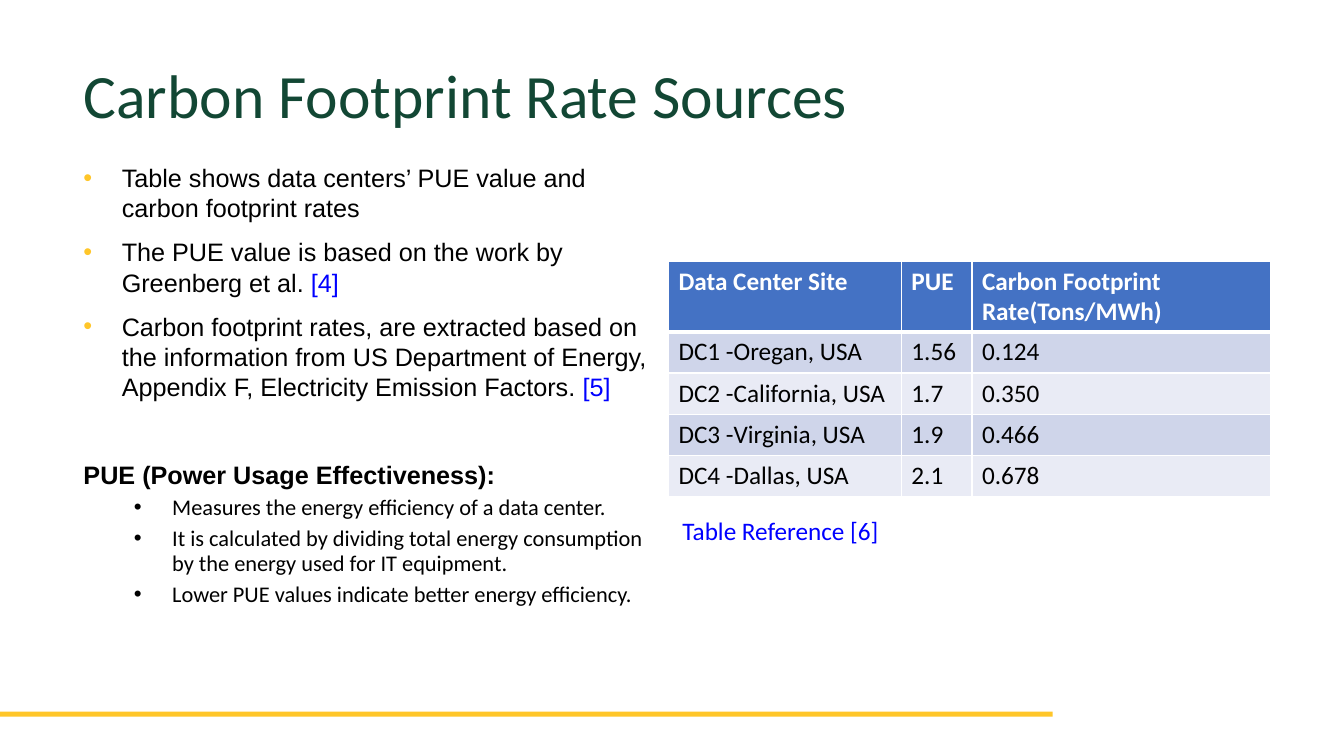
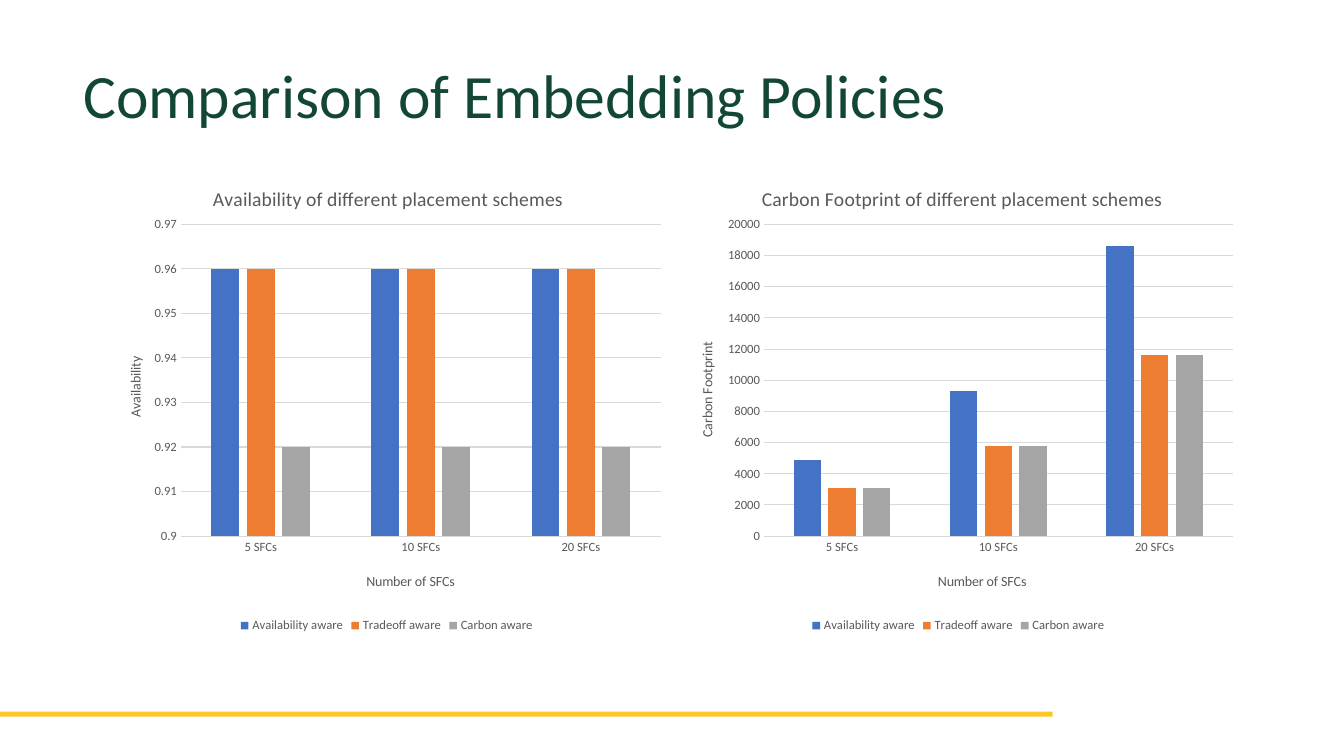
"""Build two slides on carbon footprint sources and embedding policies."""
from dataclasses import dataclass
from typing import NamedTuple, Optional

from lxml.etree import SubElement
from pptx import Presentation
from pptx.chart.data import CategoryChartData
from pptx.dml.color import RGBColor
from pptx.enum.chart import XL_CHART_TYPE as ChartType, XL_LEGEND_POSITION as LegendPosition
from pptx.enum.chart import XL_TICK_MARK as TickMark
from pptx.enum.shapes import MSO_SHAPE as Shape
from pptx.oxml.ns import qn
from pptx.util import Inches, Pt


@dataclass(frozen=True)
class Theme:
    title: str = "124734"
    accent: str = "FFC629"
    text: str = "000000"
    reference: str = "0000FF"
    white: str = "FFFFFF"
    header: str = "4472C4"
    bands: tuple = ("CFD5EA", "E9EBF5")
    series: tuple = ("4472C4", "ED7D31", "A5A5A5")
    chart_text: str = "595959"
    grid: str = "D9D9D9"
    sans: str = "Arial"
    humanist: str = "Calibri"
    title_size: int = 44
    body_size: int = 18
    detail_size: int = 16
    chart_title_size: int = 14
    axis_title_size: int = 10
    label_size: int = 9


THEME = Theme()


class Box(NamedTuple):
    left: float
    top: float
    width: float
    height: float

    def lengths(self) -> tuple:
        return tuple(Inches(value) for value in self)


class Span(NamedTuple):
    text: str
    color: str = THEME.text
    size: int = THEME.body_size
    font: str = THEME.sans
    bold: bool = False


class Para(NamedTuple):
    spans: tuple
    before: float = 0
    spacing: Optional[float] = None
    level: int = 0
    indent: float = 0
    bullet_color: Optional[str] = None


class Axis(NamedTuple):
    title: str
    low: float
    high: float
    step: float


class ChartSpec(NamedTuple):
    title: str
    box: Box
    axis: Axis
    values: tuple
    plot: Box
    title_at: tuple
    axis_title_at: tuple


TITLE_BOX = Box(0.73, 0.6, 11.87, 0.82)
FOOTER_BOX = Box(0, 7.06, 10.44, 0.05)
BODY_BOX = Box(0.73, 1.56, 5.94, 5.04)
HANGING = 0.38

BULLETS = (
    (Span("Table shows data centers’ PUE value and carbon footprint rates"),),
    (Span("The PUE value is based on the work by Greenberg et al. "),
     Span("[4]", THEME.reference)),
    (Span("Carbon footprint rates, are extracted based on the information from "
          "US Department of Energy, Appendix F, Electricity Emission Factors. "),
     Span("[5]", THEME.reference)),
)
DETAILS = (
    "Measures the energy efficiency of a data center.",
    "It is calculated by dividing total energy consumption by the energy used for IT equipment.",
    "Lower PUE values indicate better energy efficiency.",
)
TABLE_BOX = Box(6.63, 2.59, 5.97, 2.33)
COLUMN_WIDTHS = (2.31, 0.7, 2.96)
ROW_HEIGHTS = (0.69,) + (0.41,) * 4
TABLE_ROWS = (
    ("Data Center Site", "PUE", "Carbon Footprint Rate(Tons/MWh)"),
    ("DC1 -Oregan, USA", "1.56", "0.124"),
    ("DC2 -California, USA", "1.7", "0.350"),
    ("DC3 -Virginia, USA", "1.9", "0.466"),
    ("DC4 -Dallas, USA", "2.1", "0.678"),
)
CATEGORIES = ("5 SFCs", "10 SFCs", "20 SFCs")
POLICIES = ("Availability aware", "Tradeoff aware", "Carbon aware")
CHARTS = (
    ChartSpec("Availability of different placement schemes", Box(1, 1.56, 5.67, 4.76),
              Axis("Availability", 0.9, 0.97, 0.01),
              ((0.96,) * 3, (0.96,) * 3, (0.92,) * 3),
              Box(0.14, 0.14, 0.84, 0.65), (0.19, 0.05), (0.04, 0.41)),
    ChartSpec("Carbon Footprint of different placement schemes", Box(6.67, 1.56, 5.67, 4.76),
              Axis("Carbon Footprint", 0, 20000, 2000),
              ((4900, 9300, 18600), (3100, 5800, 11600), (3100, 5800, 11600)),
              Box(0.16, 0.14, 0.82, 0.65), (0.15, 0.05), (0.04, 0.38)),
)


def rgb(color: str) -> RGBColor:
    return RGBColor.from_string(color)


def style_font(font, color: str, size: int, name: str, bold: bool = False) -> None:
    font.name, font.size, font.bold = name, Pt(size), bold
    font.color.rgb = rgb(color)


def add_spans(paragraph, spans: tuple) -> None:
    for span in spans:
        run = paragraph.add_run()
        run.text = span.text
        style_font(run.font, span.color, span.size, span.font, span.bold)


def add_bullet(paragraph, indent: float, color: str) -> None:
    properties = paragraph._p.get_or_add_pPr()
    properties.set("marL", str(Inches(indent)))
    properties.set("indent", str(-Inches(HANGING)))
    SubElement(SubElement(properties, qn("a:buClr")), qn("a:srgbClr"), val=color)
    SubElement(properties, qn("a:buFont"), typeface=THEME.sans)
    SubElement(properties, qn("a:buChar"), char="•")


def add_text(page, box: Box, paras: list, wrap: bool = True) -> None:
    frame = page.shapes.add_textbox(*box.lengths()).text_frame
    frame.word_wrap = wrap
    for index, para in enumerate(paras):
        paragraph = frame.add_paragraph() if index else frame.paragraphs[0]
        paragraph.level = para.level
        if para.bullet_color:
            add_bullet(paragraph, para.indent, para.bullet_color)
        if index:
            paragraph.space_before = Pt(para.before)
        if para.spacing:
            paragraph.line_spacing = para.spacing
        add_spans(paragraph, para.spans)


def add_page(deck, title: str):
    page = deck.slides.add_slide(deck.slide_layouts[6])
    band = page.shapes.add_shape(Shape.RECTANGLE, *FOOTER_BOX.lengths())
    band.shadow.inherit = False
    band.fill.solid()
    band.fill.fore_color.rgb = rgb(THEME.accent)
    band.line.fill.background()
    span = Span(title, THEME.title, THEME.title_size, THEME.humanist)
    add_text(page, TITLE_BOX, [Para((span,), spacing=0.9)])
    return page


def add_borders(cell, top: float, bottom: float) -> None:
    properties = cell._tc.get_or_add_tcPr()
    for side, width in (("L", 1), ("R", 1), ("T", top), ("B", bottom)):
        line = SubElement(properties, qn(f"a:ln{side}"), w=str(Pt(width)))
        SubElement(SubElement(line, qn("a:solidFill")), qn("a:srgbClr"), val=THEME.white)


def add_site_table(page) -> None:
    table = page.shapes.add_table(
        len(TABLE_ROWS), len(COLUMN_WIDTHS), *TABLE_BOX.lengths()).table
    for column, width in zip(table.columns, COLUMN_WIDTHS):
        column.width = Inches(width)
    for row, height in zip(table.rows, ROW_HEIGHTS):
        row.height = Inches(height)
    for row_index, texts in enumerate(TABLE_ROWS):
        header = row_index == 0
        color = THEME.white if header else THEME.text
        fill = THEME.header if header else THEME.bands[(row_index - 1) % 2]
        for column_index, text in enumerate(texts):
            cell = table.cell(row_index, column_index)
            add_borders(cell, 3 if row_index == 1 else 1, 3 if header else 1)
            cell.fill.solid()
            cell.fill.fore_color.rgb = rgb(fill)
            span = Span(text, color, font=THEME.humanist, bold=header)
            add_spans(cell.text_frame.paragraphs[0], (span,))


def place(element, values: tuple, inner: bool = False) -> None:
    layout = element.find(qn("c:layout"))
    if layout is None:
        layout = SubElement(element, qn("c:layout"))
        element.insert(0, layout)
    manual = SubElement(layout, qn("c:manualLayout"))
    if inner:
        SubElement(manual, qn("c:layoutTarget"), val="inner")
    for key in ("xMode", "yMode"):
        SubElement(manual, qn(f"c:{key}"), val="edge")
    for key, value in zip("xywh", values):
        SubElement(manual, qn(f"c:{key}"), val=str(value))


def set_title(title, text: str, size: int, position: tuple, upright: bool = False) -> None:
    frame = title.text_frame
    add_spans(frame.paragraphs[0], (Span(text, THEME.chart_text, size, THEME.humanist),))
    if upright:
        body = title.element.find(f".//{qn('a:bodyPr')}")
        body.set("rot", "-5400000")
        body.set("vert", "horz")
    place(title.element, position)


def add_policy_chart(page, spec: ChartSpec) -> None:
    data = CategoryChartData()
    data.categories = CATEGORIES
    for policy, values in zip(POLICIES, spec.values):
        data.add_series(policy, values)
    chart = page.shapes.add_chart(
        ChartType.COLUMN_CLUSTERED, *spec.box.lengths(), data).chart
    style_font(chart.font, THEME.text, THEME.axis_title_size, THEME.humanist)
    chart.has_title = True
    set_title(chart.chart_title, spec.title, THEME.chart_title_size, spec.title_at)
    place(chart.element.find(f".//{qn('c:plotArea')}"), spec.plot, inner=True)

    chart.has_legend = True
    chart.legend.position = LegendPosition.BOTTOM
    chart.legend.include_in_layout = False
    plot = chart.plots[0]
    plot.gap_width, plot.overlap, plot.vary_by_categories = 219, -27, False
    for series, color in zip(plot.series, THEME.series):
        series.format.fill.solid()
        series.format.fill.fore_color.rgb = rgb(color)

    category, value = chart.category_axis, chart.value_axis
    for axis in (category, value):
        axis.major_tick_mark = axis.minor_tick_mark = TickMark.NONE
    for part in (category.tick_labels, value.tick_labels, chart.legend):
        style_font(part.font, THEME.chart_text, THEME.label_size, THEME.humanist)
    value.minimum_scale, value.maximum_scale = spec.axis.low, spec.axis.high
    value.major_unit = spec.axis.step
    value.has_major_gridlines = True
    value.format.line.fill.background()
    for line in (category.format.line, value.major_gridlines.format.line):
        line.color.rgb = rgb(THEME.grid)
        line.width = Pt(0.75)
    set_title(category.axis_title, "Number of SFCs", THEME.axis_title_size, (0.46, 0.86))
    set_title(value.axis_title, spec.axis.title, THEME.axis_title_size,
              spec.axis_title_at, upright=True)


def add_sources_page(deck) -> None:
    page = add_page(deck, "Carbon Footprint Rate Sources")
    paras = [Para(spans, 10, indent=HANGING, bullet_color=THEME.accent) for spans in BULLETS]
    paras.append(Para((Span("PUE (Power Usage Effectiveness):", bold=True),), 41))
    for text in DETAILS:
        span = Span(text, size=THEME.detail_size, font=THEME.humanist)
        paras.append(Para((span,), 5, 0.9, 1, 0.88, THEME.text))
    add_text(page, BODY_BOX, paras)
    add_site_table(page)
    reference = Span("Table Reference [6]", THEME.reference, font=THEME.humanist)
    add_text(page, Box(6.67, 5.06, 2.17, 0.4), [Para((reference,))], wrap=False)


def main() -> None:
    deck = Presentation()
    deck.slide_width, deck.slide_height = Inches(13.33), Inches(7.5)
    add_sources_page(deck)
    comparison = add_page(deck, "Comparison of Embedding Policies")
    for spec in CHARTS:
        add_policy_chart(comparison, spec)
    deck.save("out.pptx")


if __name__ == "__main__":
    main()
